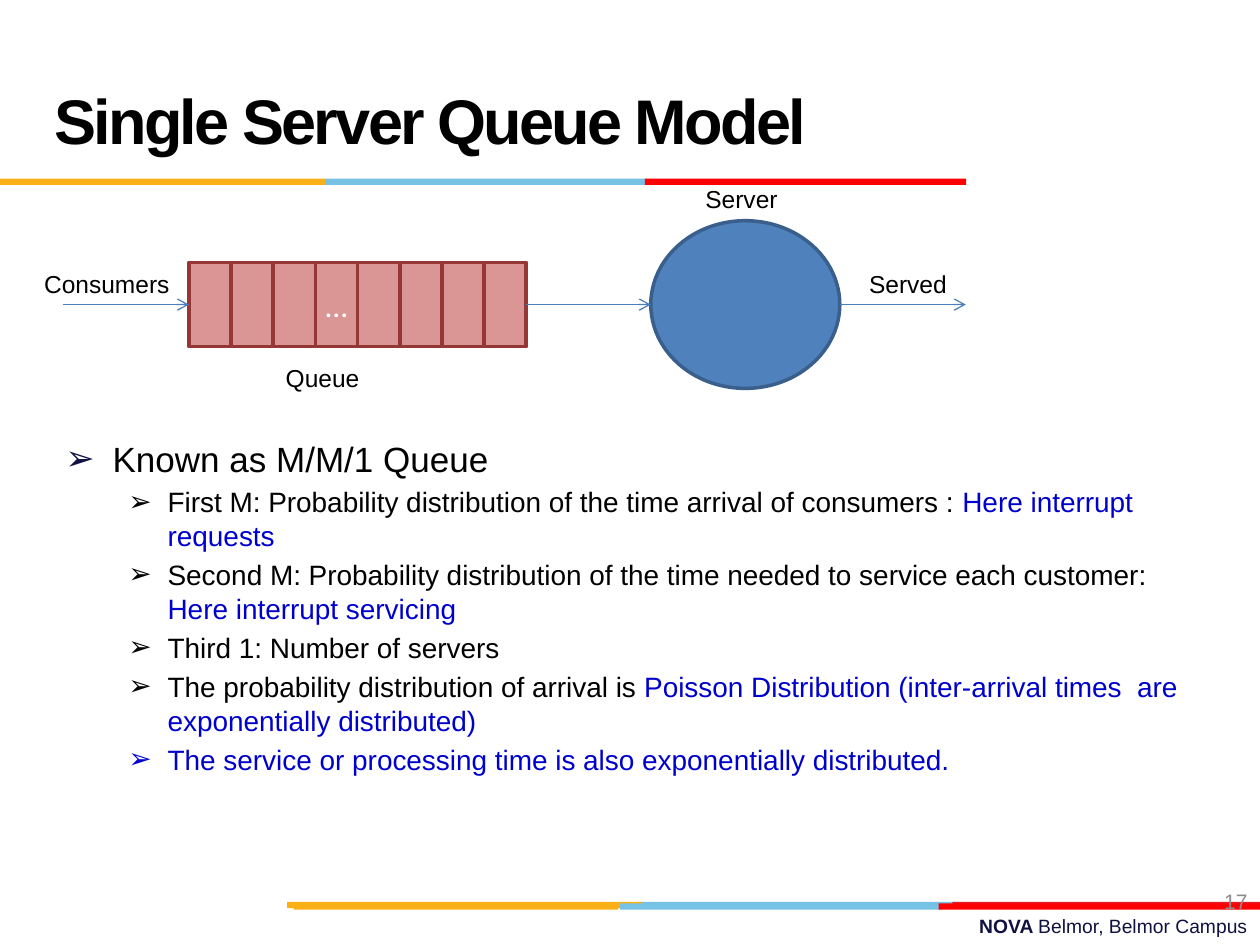
from pptx import Presentation
from pptx.dml.color import RGBColor
from pptx.enum.shapes import MSO_CONNECTOR, MSO_SHAPE
from pptx.enum.text import MSO_ANCHOR, PP_ALIGN
from pptx.oxml.ns import qn
from pptx.util import Cm, Pt
from lxml.etree import SubElement

THEME = {
    "black": "000000", "white": "FFFFFF", "navy": "101141", "grey": "8C8C8C",
    "emphasis": "0000CC", "orange": "FCB017", "sky": "76C2E5", "red": "FF0000",
    "crimson": "E31C24", "server": "4F81BD", "server_line": "3A5F8C",
    "cell": "D99694", "cell_line": "953735", "arrow": "4B7EBC",
    "title_size": 36, "lead_size": 20, "point_size": 16, "dots_size": 18,
    "label_size": 14, "number_size": 12, "footer_size": 11,
}


def add_shape(kind, box, fill, line=None):
    shape = slide.shapes.add_shape(kind, *map(Cm, box))
    shape.shadow.inherit = False
    shape.fill.solid()
    shape.fill.fore_color.rgb = RGBColor.from_string(THEME[fill])
    if line:
        shape.line.color.rgb = RGBColor.from_string(THEME[line])
        shape.line.width = Pt(2)
    else:
        shape.line.fill.background()
    return shape


def add_run(paragraph, text, size, color, bold=False, name="Arial"):
    run = paragraph.add_run()
    run.text = text
    run.font.color.rgb = RGBColor.from_string(THEME[color])
    font_format = {"size": Pt(THEME[size]), "bold": bold, "name": name}
    for attribute, value in font_format.items():
        setattr(run.font, attribute, value)
    return run


presentation = Presentation()
presentation.slide_width, presentation.slide_height = Cm(25.4), Cm(19.05)
slide = presentation.slides.add_slide(presentation.slide_layouts[6])

stripes = [
    (18.18, [(12.85, 6.48, "sky"), (19.2, 6.2, "crimson"), (5.79, 7.16, "orange")]),
    (18.21, [(12.5, 6.48, "sky"), (5.92, 6.55, "orange"), (18.92, 6.48, "red")]),
    (3.6, [(6.55, 6.48, "sky"), (0, 6.55, "orange"), (13, 6.48, "red")]),
]
for top, bars in stripes:
    for left, width, color in bars:
        add_shape(MSO_SHAPE.RECTANGLE, (left, top, width, 0.13), color)

text_boxes = [
    ((0.84, 0.43, 17.58, 3.18), {"line_spacing": 1.5}, MSO_ANCHOR.MIDDLE, True,
     [("Single Server Queue Model", "title_size", "black", True)]),
    ((9.1, 18.31, 16.3, 0.74), {"alignment": PP_ALIGN.RIGHT}, MSO_ANCHOR.TOP, True,
     [("NOVA ", "footer_size", "navy", True),
      ("Belmor, Belmor Campus", "footer_size", "navy")]),
    ((19.48, 17.65, 5.92, 1.02), {"alignment": PP_ALIGN.RIGHT}, MSO_ANCHOR.MIDDLE, True,
     [("17", "number_size", "grey")]),
]
labels = [("Consumers", 0.64, 5.29, 3.05), ("Served", 17.27, 5.29, 2.08),
          ("Server", 13.97, 3.58, 1.98), ("Queue", 5.51, 7.19, 2.01)]
for text, left, top, width in labels:
    text_boxes.append(((left, top, width, 0.86), {}, MSO_ANCHOR.TOP, False,
                       [(text, "label_size", "black")]))

for box, paragraph_format, anchor, wrap, runs in text_boxes:
    frame = slide.shapes.add_textbox(*map(Cm, box)).text_frame
    frame.word_wrap = wrap
    frame.vertical_anchor = anchor
    paragraph = frame.paragraphs[0]
    for attribute, value in paragraph_format.items():
        setattr(paragraph, attribute, value)
    for run_values in runs:
        run = add_run(paragraph, *run_values)
        if run_values[1] == "title_size":
            run.font._element.set("spc", "-150")

points = [
    [("Known as M/M/1 Queue", "black")],
    [("First M: Probability distribution of the time arrival of consumers : ", "black"),
     ("Here interrupt requests", "emphasis")],
    [("Second M: Probability distribution of the time needed to service each customer: ", "black"),
     ("Here interrupt servicing", "emphasis")],
    [("Third 1: Number of servers", "black")],
    [("The probability distribution of arrival is ", "black"),
     ("Poisson Distribution (inter-arrival times  are exponentially distributed)", "emphasis")],
    [("The service or processing time is also exponentially distributed.", "emphasis")],
]
body = slide.shapes.add_textbox(Cm(1.07), Cm(8.69), Cm(23.5), Cm(9.32)).text_frame
body.word_wrap = True
for index, runs in enumerate(points):
    paragraph = body.add_paragraph() if index else body.paragraphs[0]
    size, level, margin, indent, bullet_color = (
        ("point_size", 1, 2.06, -0.79, runs[0][1]) if index
        else ("lead_size", 0, 0.95, -0.95, "navy"))
    paragraph.level = level
    paragraph.space_before = Pt(THEME[size] * 0.2)
    properties = paragraph._p.get_or_add_pPr()
    properties.set("marL", str(Cm(margin)))
    properties.set("indent", str(Cm(indent)))
    SubElement(SubElement(properties, qn("a:buClr")), qn("a:srgbClr"), val=THEME[bullet_color])
    SubElement(properties, qn("a:buFont"), typeface="Arial")
    SubElement(properties, qn("a:buChar"), char="➢")
    for text, color in runs:
        add_run(paragraph, text, size, color)

middle = 6.14
server_left, server_width, server_height = 13.12, 3.81, 3.38
add_shape(MSO_SHAPE.OVAL,
          (server_left, middle - server_height / 2, server_width, server_height),
          "server", "server_line")

queue_left, cell_width, cell_height = 3.81, 0.85, 1.7
cells = [
    add_shape(MSO_SHAPE.RECTANGLE,
              (queue_left + index * cell_width, middle - cell_height / 2, cell_width, cell_height),
              "cell", "cell_line")
    for index in range(8)
]
dots = cells[3].text_frame
dots.vertical_anchor = MSO_ANCHOR.MIDDLE
dots.margin_left = dots.margin_right = 0
dots.paragraphs[0].alignment = PP_ALIGN.CENTER
add_run(dots.paragraphs[0], "…", "dots_size", "white", name="Calibri")

queue_right = queue_left + len(cells) * cell_width
server_right = server_left + server_width
arrows = [(queue_right, server_left, cells[-1], None),
          (1.27, queue_left, None, cells[0]),
          (server_right, 19.47, None, None)]
for start, end, source, target in arrows:
    connector = slide.shapes.add_connector(
        MSO_CONNECTOR.STRAIGHT, Cm(start), Cm(middle), Cm(end), Cm(middle))
    if source:
        connector.begin_connect(source, 3)
    if target:
        connector.end_connect(target, 1)
    connector.line.color.rgb = RGBColor.from_string(THEME["arrow"])
    connector.line.width = Pt(0.75)
    SubElement(connector.line._get_or_add_ln(), qn("a:tailEnd"), type="arrow")
    SubElement(connector._element.spPr, qn("a:effectLst"))

presentation.save("out.pptx")
